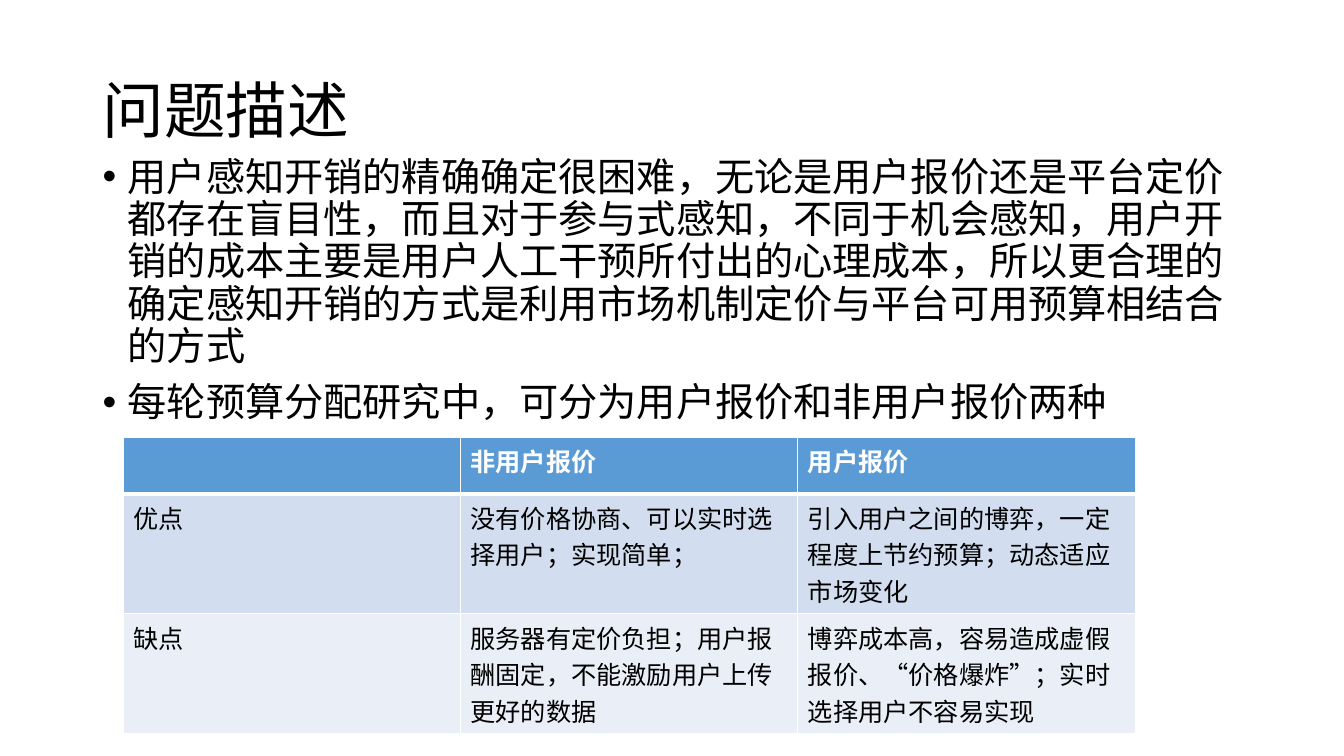
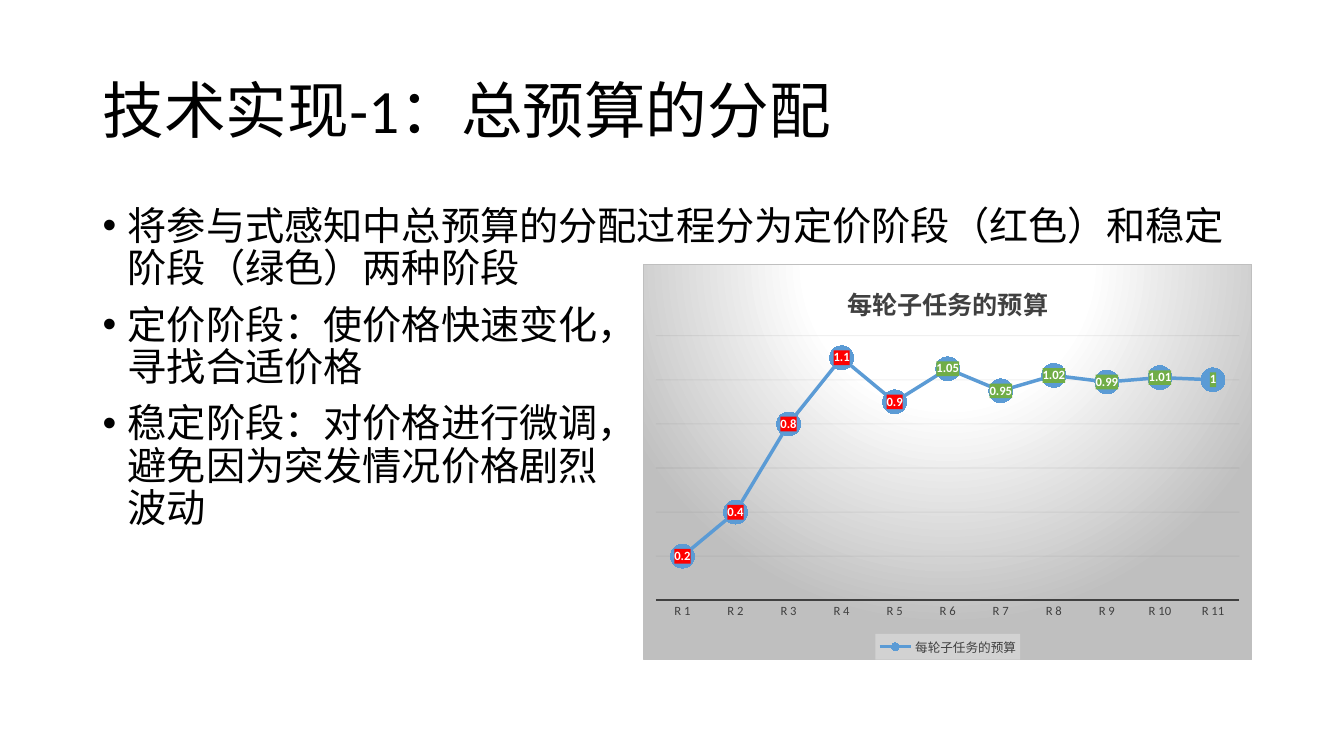
from pptx import Presentation
from pptx.chart.data import CategoryChartData
from pptx.dml.color import RGBColor
from pptx.enum.chart import XL_CHART_TYPE as ChartType, XL_LABEL_POSITION as LabelPosition
from pptx.enum.chart import XL_LEGEND_POSITION as LegendPosition, XL_MARKER_STYLE as MarkerStyle
from pptx.enum.chart import XL_TICK_MARK as TickMark
from pptx.enum.lang import MSO_LANGUAGE_ID as Language
from pptx.enum.text import MSO_ANCHOR as Anchor
from pptx.oxml import parse_xml
from pptx.oxml.ns import nsdecls
from pptx.util import Inches, Pt

FONT = "Calibri"
BLACK, WHITE, DARK, GREY = "000000", "FFFFFF", "404040", "BFBFBF"
BLUE, RED, GREEN = "5B9BD5", "FF0000", "70AD47"
ROW_FILLS = [BLUE, "D2DEEF", "EAEFF7"]
ROW_HEIGHTS = [0.56, 1.19, 1.19]

PROBLEM_TITLE = "问题描述"
PROBLEM_POINTS = [
    "用户感知开销的精确确定很困难，无论是用户报价还是平台定价都存在盲目性，"
    "而且对于参与式感知，不同于机会感知，用户开销的成本主要是用户人工干预所付出的心理成本，"
    "所以更合理的确定感知开销的方式是利用市场机制定价与平台可用预算相结合的方式",
    "每轮预算分配研究中，可分为用户报价和非用户报价两种",
]
COMPARISON = [
    ["", "非用户报价", "用户报价"],
    ["优点", "没有价格协商、可以实时选择用户；实现简单；",
     "引入用户之间的博弈，一定程度上节约预算；动态适应市场变化"],
    ["缺点", "服务器有定价负担；用户报酬固定，不能激励用户上传更好的数据",
     "博弈成本高，容易造成虚假报价、“价格爆炸”；实时选择用户不容易实现"],
]

BUDGET_TITLE = "技术实现-1：总预算的分配"
BUDGET_POINTS = [
    "将参与式感知中总预算的分配过程分为定价阶段（红色）和稳定阶段（绿色）两种阶段",
    "定价阶段：使价格快速变化，\n寻找合适价格",
    "稳定阶段：对价格进行微调，\n避免因为突发情况价格剧烈\n波动",
]
CHART_TITLE = "每轮子任务的预算"
BUDGETS = [0.2, 0.4, 0.8, 1.1, 0.9, 1.05, 0.95, 1.02, 0.99, 1.01, 1]
PRICING_ROUNDS = 5


def color(value):
    return RGBColor.from_string(value)


def style_font(font, size, value, bold=False):
    font.name, font.size, font.bold = FONT, Pt(size), bold
    font.color.rgb = color(value)


def add_text(para, text, size, value, bold=False):
    for number, line in enumerate(text.split("\n")):
        if number:
            para.add_line_break()
        span = para.add_run()
        span.text = line
        style_font(span.font, size, value, bold)
        span.font.language_id = Language.SIMPLIFIED_CHINESE


def add_box(page, top, height, paragraphs, size, bulleted=False):
    box = page.shapes.add_textbox(Inches(0.92), Inches(top), Inches(11.5), Inches(height))
    frame = box.text_frame
    frame.word_wrap = True
    frame.vertical_anchor = Anchor.TOP if bulleted else Anchor.MIDDLE
    for number, text in enumerate(paragraphs):
        para = frame.add_paragraph() if number else frame.paragraphs[0]
        para.line_spacing = 0.9
        if bulleted:
            para.space_before = Pt(10)
            props = para._p.get_or_add_pPr()
            props.set("marL", str(Inches(0.25)))
            props.set("indent", str(-Inches(0.25)))
            props.append(parse_xml(f'<a:buFont {nsdecls("a")} typeface="Arial"/>'))
            props.append(parse_xml(f'<a:buChar {nsdecls("a")} char="•"/>'))
        add_text(para, text, size, BLACK)


def add_page(deck, title, points, body_top):
    page = deck.slides.add_slide(deck.slide_layouts[6])
    add_box(page, 0.4, 1.45, [title], 44)
    add_box(page, body_top, 4.76, points, 28, bulleted=True)
    return page


def add_borders(cell, bottom):
    props = cell._tc.get_or_add_tcPr()
    for place, (side, width) in enumerate([("L", 1), ("R", 1), ("T", 1), ("B", bottom)]):
        props.insert(place, parse_xml(
            f'<a:ln{side} {nsdecls("a")} w="{Pt(width)}"><a:solidFill>'
            f'<a:srgbClr val="{WHITE}"/></a:solidFill></a:ln{side}>'))


def add_comparison(page):
    rows, columns = len(COMPARISON), len(COMPARISON[0])
    table = page.shapes.add_table(rows, columns, Inches(1.22), Inches(4.34),
                                  Inches(10.04), Inches(sum(ROW_HEIGHTS))).table
    for row, texts in enumerate(COMPARISON):
        table.rows[row].height = Inches(ROW_HEIGHTS[row])
        header = row == 0
        for column, text in enumerate(texts):
            cell = table.cell(row, column)
            cell.fill.solid()
            cell.fill.fore_color.rgb = color(ROW_FILLS[row])
            add_borders(cell, 3 if header else 1)
            if text:
                add_text(cell.text_frame.paragraphs[0], text, 18,
                         WHITE if header else BLACK, header)


def shape_props(content):
    return parse_xml(f'<c:spPr {nsdecls("c", "a")}>{content}</c:spPr>')


def solid(value, alpha=100):
    return (f'<a:solidFill><a:srgbClr val="{value}"><a:alpha val="{alpha * 1000}"/>'
            '</a:srgbClr></a:solidFill>')


def fill_chart(chart):
    stops = "".join(f'<a:gs pos="{place * 1000}"><a:srgbClr val="{value}"/></a:gs>'
                    for place, value in [(0, WHITE), (39, WHITE), (100, GREY)])
    chart.element.xpath("c:txPr")[0].addprevious(shape_props(
        f'<a:gradFill><a:gsLst>{stops}</a:gsLst><a:path path="circle">'
        '<a:fillToRect l="50000" t="-80000" r="50000" b="180000"/></a:path></a:gradFill>'
        f'<a:ln w="{Pt(0.75)}">{solid(GREY)}</a:ln>'))


def place_plot(chart):
    plot_area = chart.element.xpath("c:chart/c:plotArea")[0]
    for layout in plot_area.xpath("c:layout"):
        plot_area.remove(layout)
    sizes = "".join(f'<c:{key} val="{value}"/>' for key, value in
                    [("x", 0.02), ("y", 0.18), ("w", 0.96), ("h", 0.67)])
    plot_area.insert(0, parse_xml(
        f'<c:layout {nsdecls("c")}><c:manualLayout><c:layoutTarget val="inner"/>'
        f'<c:xMode val="edge"/><c:yMode val="edge"/>{sizes}</c:manualLayout></c:layout>'))


def style_axes(chart):
    rounds, values = chart.category_axis, chart.value_axis
    rounds.major_tick_mark = TickMark.NONE
    style_font(rounds.tick_labels.font, 9, DARK)
    rounds.format.line.color.rgb = color(DARK)
    rounds.format.line.width = Pt(1.5)
    values.visible = False
    values.minimum_scale, values.maximum_scale, values.major_unit = 0, 1.2, 0.2
    values.has_major_gridlines = True
    chart.element.xpath(".//c:majorGridlines")[0].append(
        shape_props(f'<a:ln w="{Pt(0.75)}">{solid("0D0D0D", 5)}</a:ln>'))


def style_series(chart):
    series = chart.plots[0].series[0]
    series.smooth = False
    series.format.line.color.rgb = color(BLUE)
    series.format.line.width = Pt(2.5)
    marker = series.marker
    marker.style, marker.size = MarkerStyle.CIRCLE, 17
    marker.format.fill.solid()
    marker.format.fill.fore_color.rgb = color(BLUE)
    marker.format.line.fill.background()
    for number in range(len(BUDGETS)):
        label = series.points[number].data_label
        style_font(label.font, 9, WHITE, bold=True)
        label.position = LabelPosition.CENTER
    for number, props in enumerate(chart.element.xpath(".//c:dLbl/c:txPr")):
        props.addprevious(shape_props(solid(RED if number < PRICING_ROUNDS else GREEN)))


def add_budget_chart(page):
    data = CategoryChartData()
    data.categories = [f"R {number + 1}" for number in range(len(BUDGETS))]
    data.add_series(CHART_TITLE, BUDGETS)
    chart = page.shapes.add_chart(ChartType.LINE_MARKERS, Inches(6.38), Inches(2.62),
                                  Inches(6.04), Inches(3.93), data).chart
    style_font(chart.font, 10, BLACK)
    chart.plots[0].vary_by_categories = False
    chart.has_title = True
    add_text(chart.chart_title.text_frame.paragraphs[0], CHART_TITLE, 18, DARK, True)
    chart.chart_title.include_in_layout = False
    chart.has_legend = True
    chart.legend.position = LegendPosition.BOTTOM
    chart.legend.include_in_layout = False
    style_font(chart.legend.font, 9, DARK)
    chart.element.xpath(".//c:legend/c:txPr")[0].addprevious(shape_props(solid("F2F2F2", 39)))
    fill_chart(chart)
    place_plot(chart)
    style_axes(chart)
    style_series(chart)


def main():
    """Build the problem and budget slides and save the deck."""
    deck = Presentation()
    deck.slide_width, deck.slide_height = Inches(13.33), Inches(7.5)
    add_comparison(add_page(deck, PROBLEM_TITLE, PROBLEM_POINTS, 1.51))
    add_budget_chart(add_page(deck, BUDGET_TITLE, BUDGET_POINTS, 2))
    deck.save("out.pptx")


if __name__ == "__main__":
    main()
